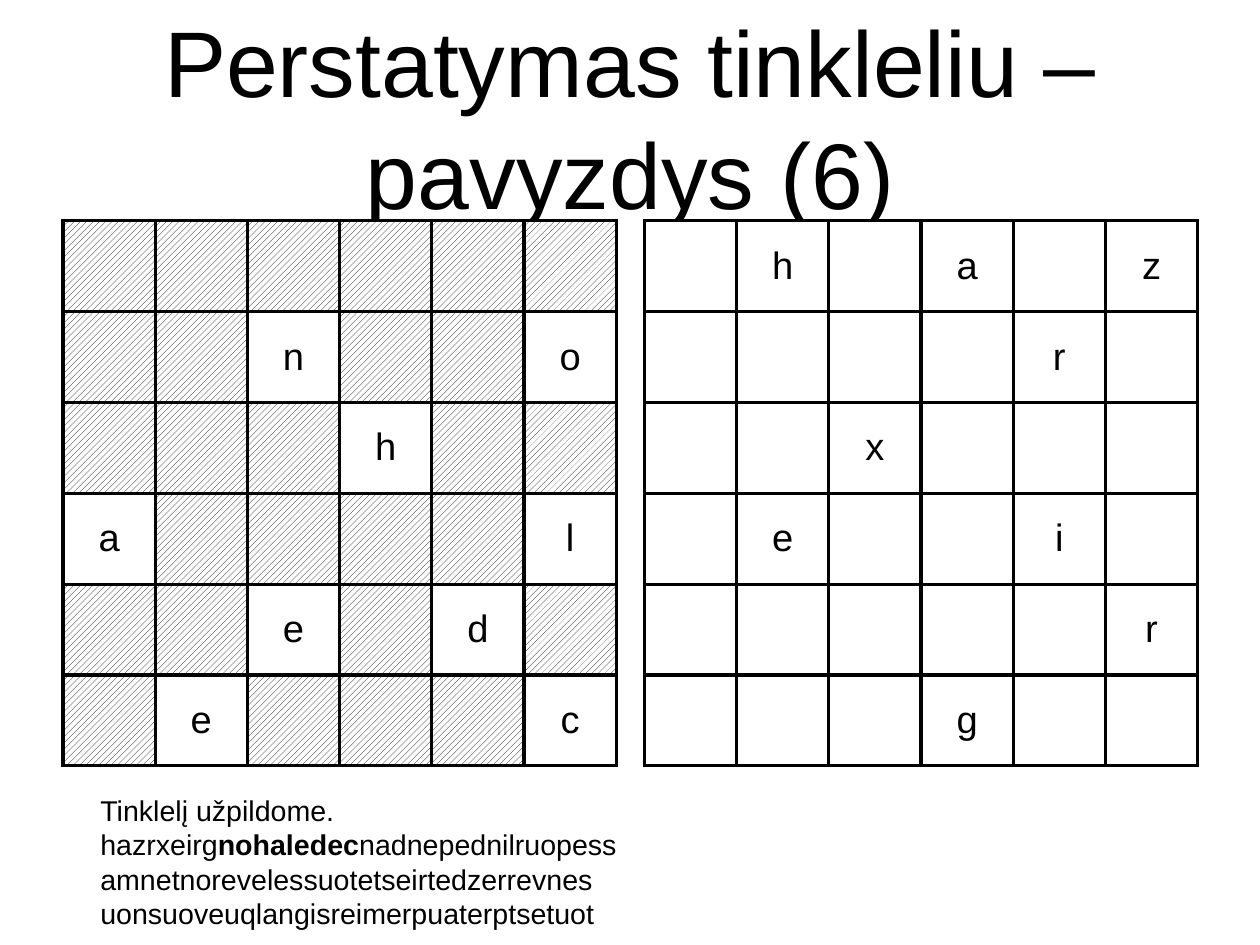
from dataclasses import dataclass

from lxml import etree
from pptx import Presentation
from pptx.dml.color import RGBColor
from pptx.enum import dml, text
from pptx.oxml.ns import qn
from pptx.util import Cm, Pt


@dataclass(frozen=True)
class Theme:
    font: str = "Arial"
    ink: str = "000000"
    paper: str = "FFFFFF"
    title: float = 58.7
    letter: float = 24
    body: float = 18
    border: float = 2.27


@dataclass(frozen=True)
class Grid:
    left: float
    rows: tuple[str, ...]
    hatched: bool


THEME = Theme()
GRID_TOP, COL_WIDTH, ROW_HEIGHT = 4.9, 2.05, 2.02

# A dot marks a cell without a letter
GRIDS = (
    Grid(1.4, ("......", "..n..o", "...h..", "a....l", "..e.d.", ".e...c"), True),
    Grid(14.32, (".h.a.z", "....r.", "..x...", ".e..i.", ".....r", "...g.."), False),
)

# Each line is a list of (text, bold) runs
NOTE = (
    [("Tinklelį užpildome.", False)],
    [("hazrxeirg", False), ("nohaledec", True), ("nadnepednilruopess", False)],
    [("amnetnorevelessuotetseirtedzerrevnes", False)],
    [("uonsuoveuqlangisreimerpuaterptsetuot", False)],
)


def style(p, size: float) -> None:
    p.font.name = THEME.font
    p.font.size = Pt(size)
    p.font.color.rgb = RGBColor.from_string(THEME.ink)


def add_borders(cell) -> None:
    tc_pr = cell._tc.get_or_add_tcPr()
    for i, side in enumerate(("lnL", "lnR", "lnT", "lnB")):
        ln = etree.Element(qn(f"a:{side}"), w=str(Pt(THEME.border)))
        fill = etree.SubElement(ln, qn("a:solidFill"))
        etree.SubElement(fill, qn("a:srgbClr"), val=THEME.ink)
        tc_pr.insert(i, ln)


def fill_cell(cell, hatched: bool) -> None:
    paper = RGBColor.from_string(THEME.paper)
    if hatched:
        cell.fill.patterned()
        cell.fill.pattern = dml.MSO_PATTERN.WIDE_UPWARD_DIAGONAL
        cell.fill.fore_color.rgb = RGBColor.from_string(THEME.ink)
        cell.fill.back_color.rgb = paper
    else:
        cell.fill.solid()
        cell.fill.fore_color.rgb = paper


def add_grid(s, grid: Grid) -> None:
    n_rows, n_cols = len(grid.rows), len(grid.rows[0])
    table = s.shapes.add_table(
        n_rows, n_cols, Cm(grid.left), Cm(GRID_TOP),
        Cm(n_cols * COL_WIDTH), Cm(n_rows * ROW_HEIGHT)).table
    table.first_row = table.horz_banding = False
    for col in table.columns:
        col.width = Cm(COL_WIDTH)
    for row, letters in zip(table.rows, grid.rows):
        row.height = Cm(ROW_HEIGHT)
        for cell, letter in zip(row.cells, letters):
            empty = letter == "."
            fill_cell(cell, grid.hatched and empty)
            add_borders(cell)
            cell.vertical_anchor = text.MSO_ANCHOR.MIDDLE
            p = cell.text_frame.paragraphs[0]
            p.alignment = text.PP_ALIGN.CENTER
            if not empty:
                p.text = letter
            style(p, THEME.letter)


def add_title(s, title: str) -> None:
    tf = s.shapes.add_textbox(Cm(1.4), Cm(0.28), Cm(25.2), Cm(4.62)).text_frame
    tf.word_wrap = True
    tf.vertical_anchor = text.MSO_ANCHOR.MIDDLE
    tf.margin_left = tf.margin_right = tf.margin_top = tf.margin_bottom = 0
    p = tf.paragraphs[0]
    p.text = title
    p.alignment = text.PP_ALIGN.CENTER
    style(p, THEME.title)


def add_note(s) -> None:
    tf = s.shapes.add_textbox(Cm(1.98), Cm(17.5), Cm(19.2), Cm(3.1)).text_frame
    tf.word_wrap = True
    for i, line in enumerate(NOTE):
        p = tf.add_paragraph() if i else tf.paragraphs[0]
        for content, bold in line:
            r = p.add_run()
            r.text = content
            if bold:
                r.font.bold = True
        style(p, THEME.body)


def main() -> None:
    prs = Presentation()
    prs.slide_width, prs.slide_height = Cm(28), Cm(21)
    s = prs.slides.add_slide(prs.slide_layouts[6])

    # Letter grids below the title
    add_title(s, "Perstatymas tinkleliu – pavyzdys (6)")
    for grid in GRIDS:
        add_grid(s, grid)

    # Explanation with the filled-in text
    add_note(s)
    prs.save("out.pptx")


if __name__ == "__main__":
    main()
